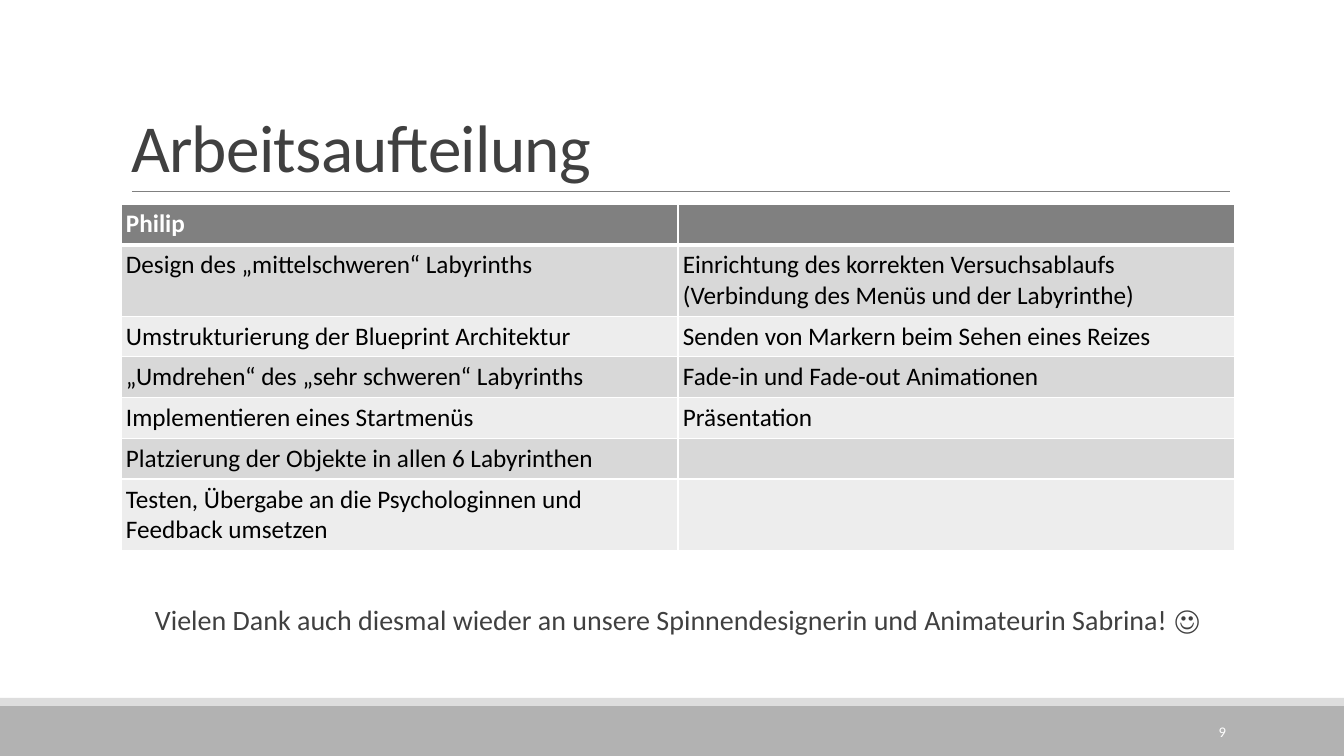
from dataclasses import dataclass

import pptx
import pptx.dml.color
import pptx.enum.shapes
import pptx.enum.text
import pptx.oxml.ns
import pptx.util
from lxml import etree

EMU_PER_PX = 914400 / 100.8
ALIGN = pptx.enum.text.PP_ALIGN
ANCHOR = pptx.enum.text.MSO_ANCHOR


@dataclass(frozen=True)
class Theme:
    font: str = "Calibri"
    ink: str = "404040"
    black: str = "000000"
    white: str = "FFFFFF"
    accent: str = "808080"
    footer: str = "B2B2B2"
    footer_edge: str = "DDDDDD"
    bands: tuple[str, str] = ("D8D8D8", "EDEDED")
    title_size: float = 48
    thanks_size: float = 20
    table_size: float = 18
    number_size: float = 10.5


@dataclass(frozen=True)
class Box:
    left: int
    top: int
    width: int
    height: int

    def emu(self) -> tuple[pptx.util.Emu, ...]:
        return tuple(px(n) for n in (self.left, self.top, self.width, self.height))


@dataclass(frozen=True)
class Bar:
    box: Box
    color: str


THEME = Theme()
BARS = [
    Bar(Box(0, 706, 1344, 50), THEME.footer),
    Bar(Box(0, 698, 1344, 8), THEME.footer_edge),
]
TASKS = [
    ("Philip", ""),
    ("Design des „mittelschweren“ Labyrinths",
     "Einrichtung des korrekten Versuchsablaufs (Verbindung des Menüs und der Labyrinthe)"),
    ("Umstrukturierung der Blueprint Architektur",
     "Senden von Markern beim Sehen eines Reizes"),
    ("„Umdrehen“ des „sehr schweren“ Labyrinths", "Fade-in und Fade-out Animationen"),
    ("Implementieren eines Startmenüs", "Präsentation"),
    ("Platzierung der Objekte in allen 6 Labyrinthen", ""),
    ("Testen, Übergabe an die Psychologinnen und Feedback umsetzen", ""),
]
ROW_HEIGHT = 39


def px(count: int) -> pptx.util.Emu:
    return pptx.util.Emu(round(count * EMU_PER_PX))


def rgb(color: str) -> pptx.dml.color.RGBColor:
    return pptx.dml.color.RGBColor.from_string(color)


def write(frame, text: str, *, size: float, color: str, bold: bool = False,
          align=ALIGN.LEFT, anchor=ANCHOR.TOP, line_spacing: float = 1.0,
          tracking: int = 0) -> None:
    """Fill a text frame with one formatted paragraph; tracking is in 1/100 pt."""
    frame.word_wrap = True
    frame.vertical_anchor = anchor
    paragraph = frame.paragraphs[0]
    paragraph.alignment = align
    paragraph.line_spacing = line_spacing
    run = paragraph.add_run()
    run.text = text
    run.font.name = THEME.font
    run.font.size = pptx.util.Pt(size)
    run.font.bold = bold
    run.font.color.rgb = rgb(color)
    if tracking:
        run.font._element.set("spc", str(tracking))


def add_bar(slide, bar: Bar) -> None:
    shape = slide.shapes.add_shape(pptx.enum.shapes.MSO_SHAPE.RECTANGLE, *bar.box.emu())
    shape.shadow.inherit = False
    shape.fill.solid()
    shape.fill.fore_color.rgb = rgb(bar.color)
    shape.line.fill.background()


def add_title_rule(slide) -> None:
    rule = slide.shapes.add_connector(
        pptx.enum.shapes.MSO_CONNECTOR.STRAIGHT, px(132), px(191), px(1230), px(191))
    rule.line.color.rgb = rgb(THEME.accent)
    rule.line.width = pptx.util.Pt(0.5)
    etree.SubElement(rule._element.spPr, pptx.oxml.ns.qn("a:effectLst"))


def set_borders(cell, top: float, bottom: float) -> None:
    """Draw white cell borders; top and bottom widths are in points."""
    properties = cell._tc.get_or_add_tcPr()
    widths = {"lnL": 1, "lnR": 1, "lnT": top, "lnB": bottom}
    for index, (side, width) in enumerate(widths.items()):
        border = etree.Element(pptx.oxml.ns.qn(f"a:{side}"), w=str(pptx.util.Pt(width)))
        fill = etree.SubElement(border, pptx.oxml.ns.qn("a:solidFill"))
        etree.SubElement(fill, pptx.oxml.ns.qn("a:srgbClr"), val=THEME.white)
        properties.insert(index, border)


def add_task_table(slide) -> None:
    box = Box(121, 204, 1114, ROW_HEIGHT * len(TASKS))
    table = slide.shapes.add_table(len(TASKS), len(TASKS[0]), *box.emu()).table
    for row, tasks in enumerate(TASKS):
        table.rows[row].height = px(ROW_HEIGHT)
        header = row == 0
        for column, task in enumerate(tasks):
            cell = table.cell(row, column)
            cell.margin_left = cell.margin_right = px(5)
            cell.margin_top = cell.margin_bottom = px(5)
            cell.fill.solid()
            cell.fill.fore_color.rgb = rgb(
                THEME.accent if header else THEME.bands[(row - 1) % 2])
            set_borders(cell, top=3 if row == 1 else 1, bottom=3 if header else 1)
            if task:
                write(cell.text_frame, task, size=THEME.table_size, bold=header,
                      color=THEME.white if header else THEME.black)


def main() -> None:
    deck = pptx.Presentation()
    deck.slide_width, deck.slide_height = px(1344), px(756)
    slide = deck.slides.add_slide(deck.slide_layouts.get_by_name("Title Only"))

    for bar in BARS:
        add_bar(slide, bar)
    add_title_rule(slide)

    title = slide.shapes.title
    title.left, title.top, title.width, title.height = Box(121, 31, 1109, 160).emu()
    write(title.text_frame, "Arbeitsaufteilung", size=THEME.title_size, color=THEME.ink,
          anchor=ANCHOR.BOTTOM, line_spacing=0.85, tracking=-50)

    add_task_table(slide)

    thanks = slide.shapes.add_textbox(*Box(118, 601, 1109, 52).emu()).text_frame
    thanks.margin_left, thanks.margin_right = px(10), 0
    write(thanks, "Vielen Dank auch diesmal wieder an unsere Spinnendesignerin "
          "und Animateurin Sabrina! ☺", size=THEME.thanks_size, color=THEME.ink,
          align=ALIGN.CENTER, line_spacing=0.9)

    page_number = slide.shapes.add_textbox(*Box(1092, 712, 144, 40).emu()).text_frame
    write(page_number, "9", size=THEME.number_size, color=THEME.white,
          align=ALIGN.RIGHT, anchor=ANCHOR.MIDDLE)

    deck.save("out.pptx")


if __name__ == "__main__":
    main()
